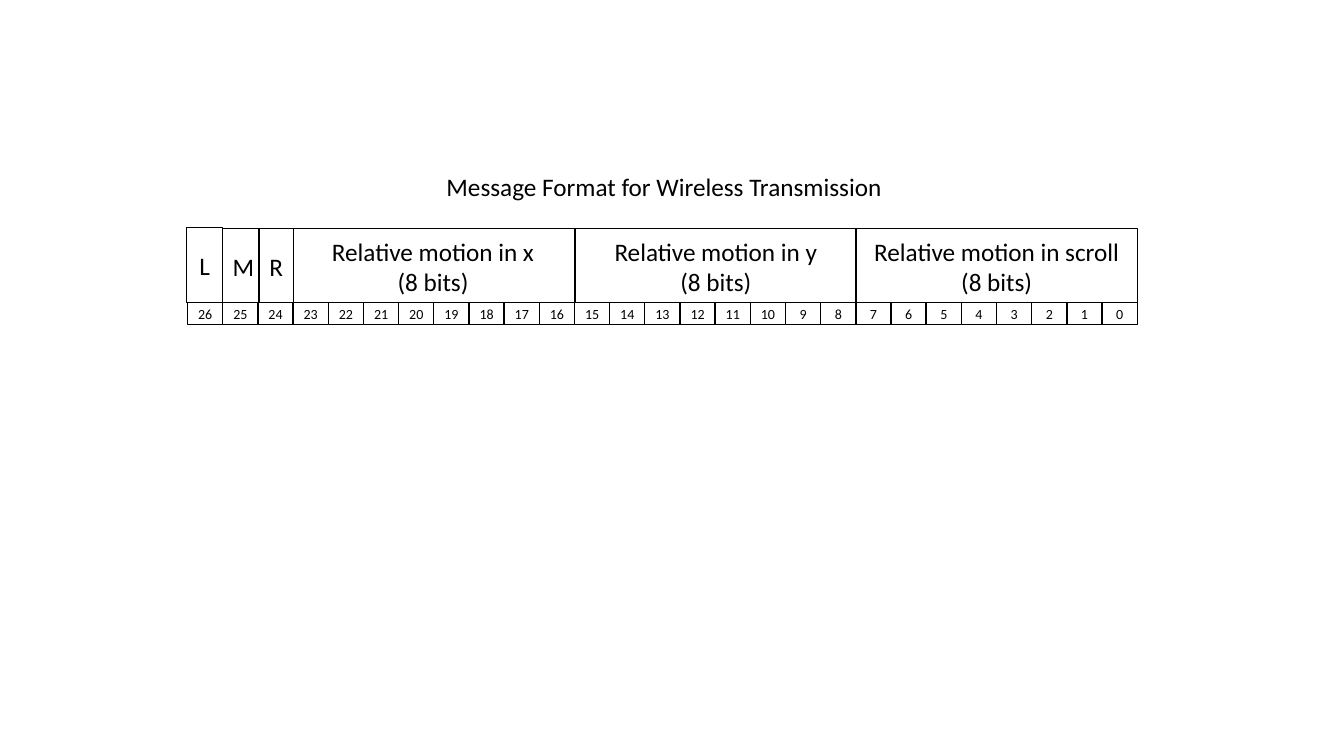
from dataclasses import dataclass

import pptx
import pptx.dml.color
import pptx.enum.shapes
import pptx.enum.text
import pptx.util
from pptx.util import Inches


@dataclass(frozen=True)
class Theme:
    font: str = "Calibri"
    ink: str = "000000"
    paper: str = "FFFFFF"
    label_size: int = 18
    bit_size: int = 10
    line_width: int = 1


@dataclass(frozen=True)
class Box:
    lines: tuple[str, ...]
    left: float
    top: float
    width: float
    height: float
    size: int


THEME = Theme()
FIELD_TOP, FIELD_HEIGHT = 2.27, 0.74
BIT_TOP, BIT_WIDTH, BIT_HEIGHT = 3.0, 0.35, 0.22
HIGH_BIT = 26
HIGH_LEFT, LOW_LEFT = 1.86, 10.93
BIT_STEP = (LOW_LEFT - HIGH_LEFT) / HIGH_BIT


def rgb(code: str) -> pptx.dml.color.RGBColor:
    return pptx.dml.color.RGBColor.from_string(code)


def add_text(tf, lines: tuple[str, ...], size: int, align) -> None:
    for i, line in enumerate(lines):
        p = tf.paragraphs[0] if i == 0 else tf.add_paragraph()
        p.alignment = align
        r = p.add_run()
        r.text = line
        r.font.name = THEME.font
        r.font.size = pptx.util.Pt(size)
        r.font.color.rgb = rgb(THEME.ink)


def add_box(s, box: Box) -> None:
    sp = s.shapes.add_shape(
        pptx.enum.shapes.MSO_SHAPE.RECTANGLE,
        Inches(box.left), Inches(box.top), Inches(box.width), Inches(box.height))
    sp.shadow.inherit = False
    sp.fill.solid()
    sp.fill.fore_color.rgb = rgb(THEME.paper)
    sp.line.color.rgb = rgb(THEME.ink)
    sp.line.width = pptx.util.Pt(THEME.line_width)
    tf = sp.text_frame
    tf.word_wrap = True
    tf.vertical_anchor = pptx.enum.text.MSO_ANCHOR.MIDDLE
    add_text(tf, box.lines, box.size, pptx.enum.text.PP_ALIGN.CENTER)


def field(left: float, width: float, *lines: str, top: float = FIELD_TOP) -> Box:
    return Box(lines, left, top, width, FIELD_HEIGHT, THEME.label_size)


def bit(number: int) -> Box:
    left = HIGH_LEFT + (HIGH_BIT - number) * BIT_STEP
    return Box((str(number),), left, BIT_TOP, BIT_WIDTH, BIT_HEIGHT, THEME.bit_size)


prs = pptx.Presentation()
prs.slide_width, prs.slide_height = Inches(13.33), Inches(7.5)
s = prs.slides.add_slide(prs.slide_layouts[6])

# Title
title = s.shapes.add_textbox(Inches(4.33), Inches(1.65), Inches(4.56), Inches(0.4))
title.text_frame.word_wrap = False
title.text_frame.auto_size = pptx.enum.text.MSO_AUTO_SIZE.SHAPE_TO_FIT_TEXT
add_text(title.text_frame, ("Message Format for Wireless Transmission",),
         THEME.label_size, pptx.enum.text.PP_ALIGN.LEFT)

# Message fields
FIELDS = (
    field(2.89, 2.81, "Relative motion in x", "(8 bits)"),
    field(2.21, 0.36, "M"),
    field(2.57, 0.34, "R"),
    field(5.71, 2.78, "Relative motion in y", "(8 bits)"),
    field(8.49, 2.79, "Relative motion in scroll (8 bits)"),
    field(1.85, 0.36, "L", top=2.26),
)
for box in FIELDS:
    add_box(s, box)

# Bit numbers, highest first
for number in range(HIGH_BIT, -1, -1):
    add_box(s, bit(number))

prs.save("out.pptx")
